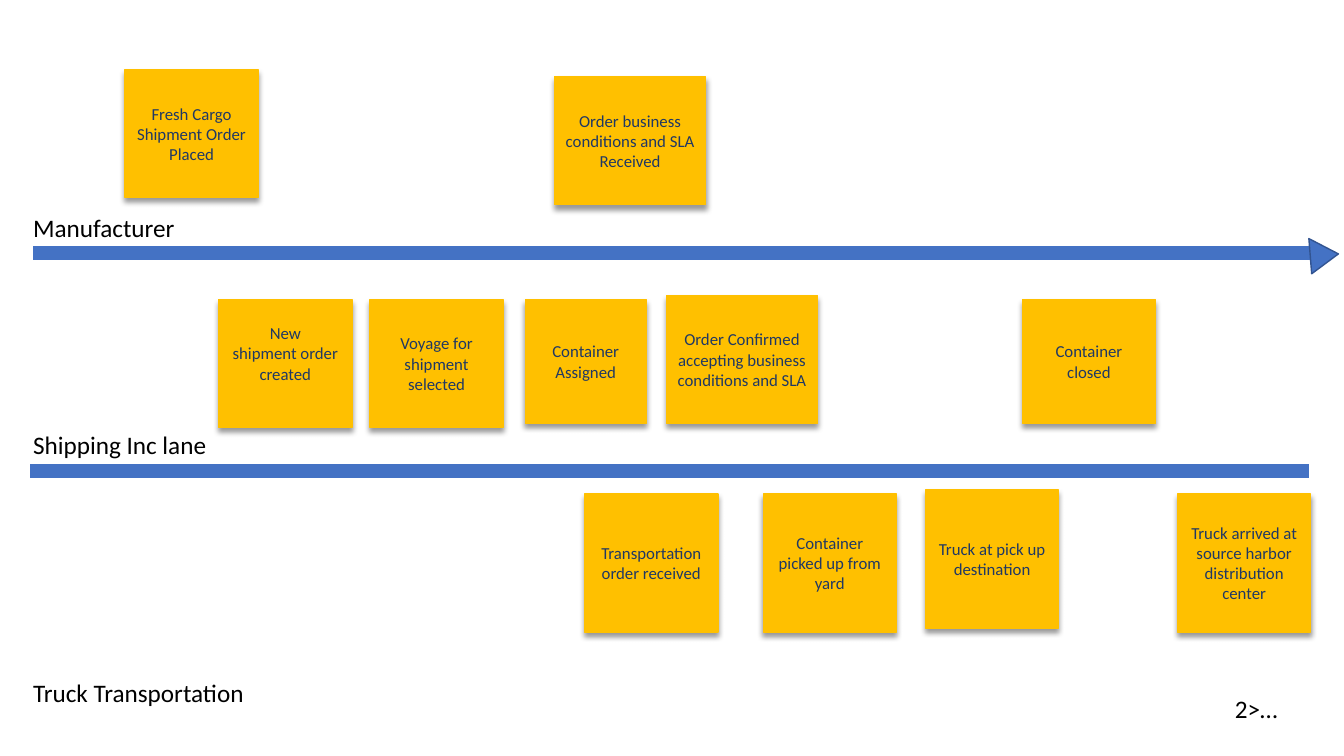
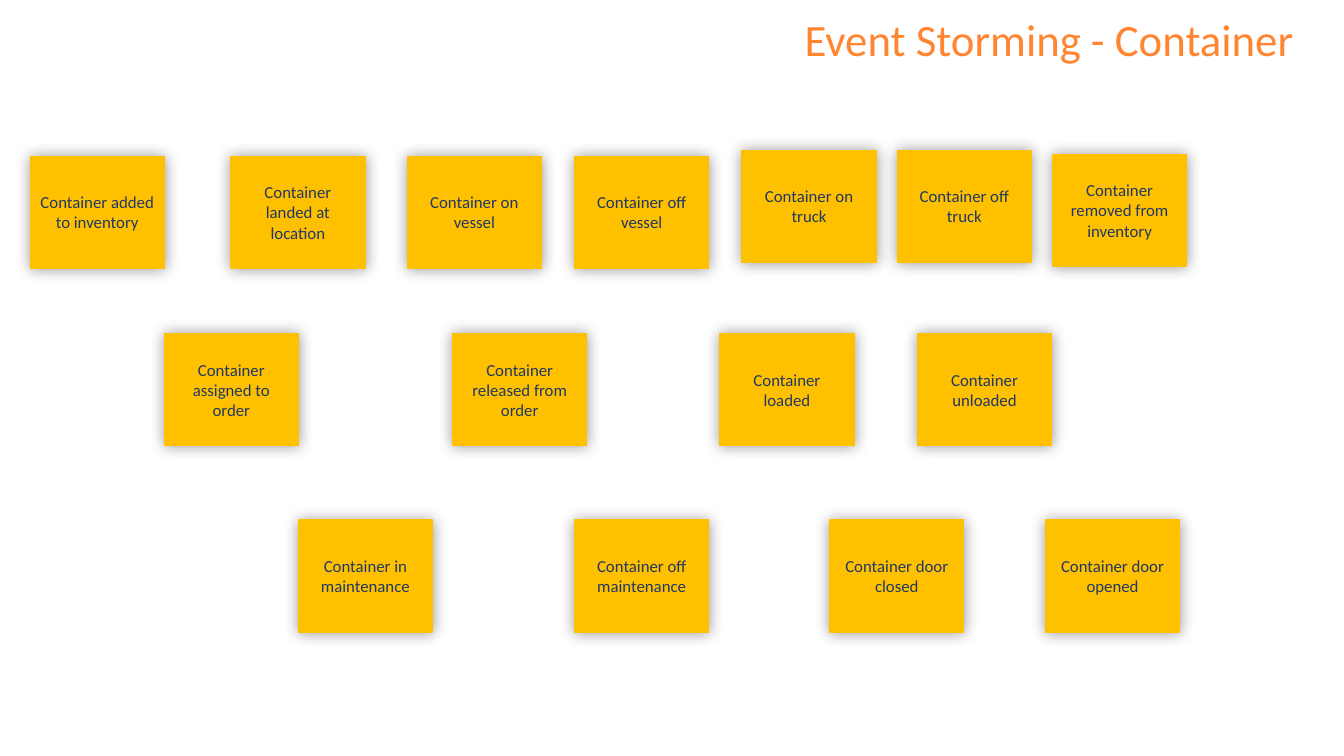
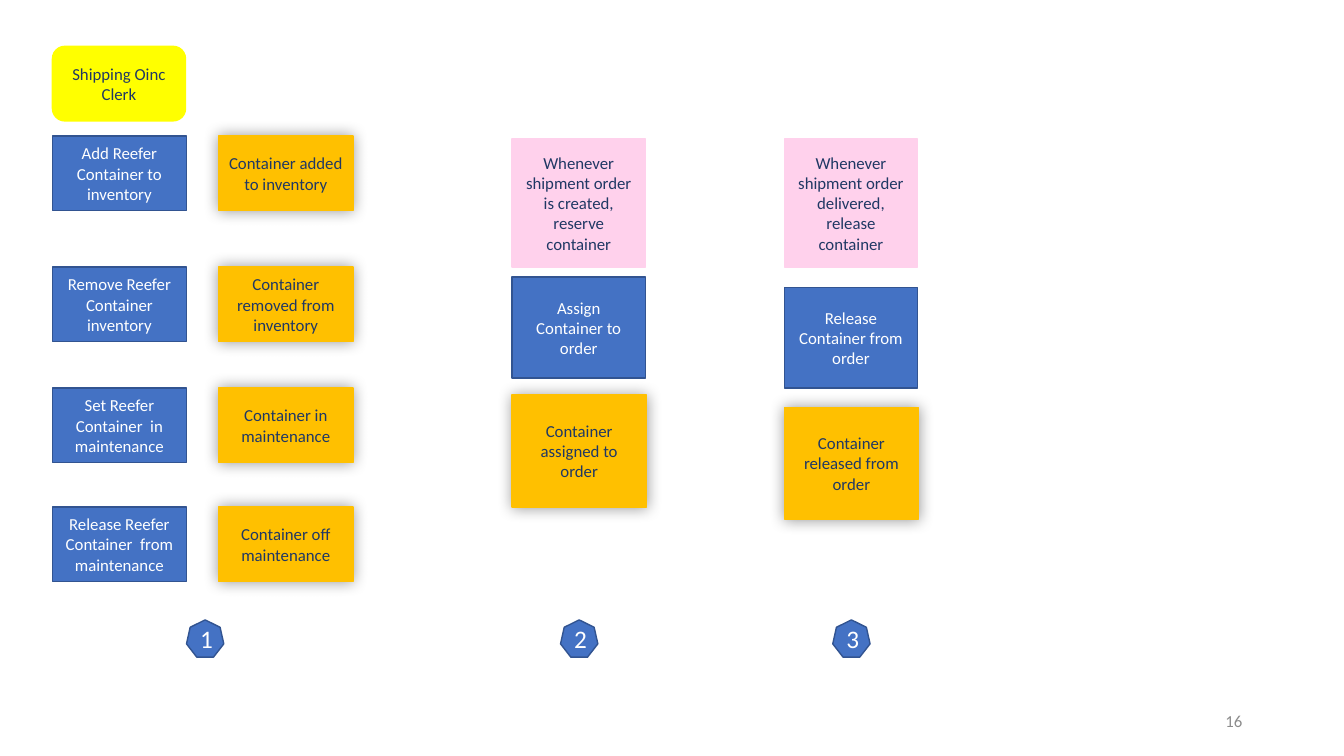
from lxml.etree import SubElement
from pptx import Presentation
from pptx.dml.color import RGBColor
from pptx.enum.shapes import MSO_CONNECTOR, MSO_SHAPE
from pptx.enum.text import MSO_ANCHOR, MSO_AUTO_SIZE, PP_ALIGN
from pptx.oxml.ns import qn
from pptx.util import Inches, Pt

HUES = {
    "amber": "FFC000", "blue": "4472C4", "edge": "325491", "navy": "203864",
    "yellow": "FFFF00", "pink": "FFD1EC", "orange": "FF8531",
    "black": "000000", "white": "FFFFFF", "grey": "8C8C8C",
}
# kind: fill, line, text
KINDS = {
    "event": ("amber", "amber", "navy"),
    "order": ("blue", "edge", "white"),
    "actor": ("yellow", "yellow", "navy"),
    "rule": ("pink", "pink", "navy"),
}
# shade: blur and distance in points, angle in degrees
DROP = (4, 3, 90)
GLOW = (11, 0, 10)
TITLE_ONLY, BLANK = 5, 6


def hue(name):
    return RGBColor.from_string(HUES[name])


class Deck:
    """Holds the shared style and the current slide."""

    font = "Calibri"

    def __init__(self):
        self.prs = Presentation()
        self.prs.slide_width = Inches(13.33)
        self.prs.slide_height = Inches(7.5)
        self.slide = None

    def page(self, layout=BLANK):
        self.slide = self.prs.slides.add_slide(self.prs.slide_layouts[layout])

    def words(self, frame, text, size, color, align):
        """Fill a text frame, one paragraph per line of text."""
        for i, line in enumerate(text.split("\n")):
            par = frame.add_paragraph() if i else frame.paragraphs[0]
            par.alignment = align
            run = par.add_run()
            run.text = line
            run.font.name = self.font
            run.font.size = Pt(size)
            run.font.color.rgb = hue(color)

    def shade(self, shape, blur, dist, angle):
        effects = shape.element.spPr.find(qn("a:effectLst"))
        outer = SubElement(effects, qn("a:outerShdw"), blurRad=str(Pt(blur)),
                           dist=str(Pt(dist)), dir=str(angle * 60000), rotWithShape="0")
        color = SubElement(outer, qn("a:srgbClr"), val=HUES["black"])
        SubElement(color, qn("a:alpha"), val="40000")

    def card(self, kind, x, y, w, h, text="", form=MSO_SHAPE.RECTANGLE,
             size=12, shade=None):
        fill, edge, ink = KINDS[kind]
        shape = self.slide.shapes.add_shape(form, Inches(x), Inches(y), Inches(w), Inches(h))
        shape.shadow.inherit = False
        shape.fill.solid()
        shape.fill.fore_color.rgb = hue(fill)
        shape.line.color.rgb = hue(edge)
        shape.line.width = Pt(1)
        if shade:
            self.shade(shape, *shade)
        if text:
            frame = shape.text_frame
            frame.word_wrap = True
            frame.vertical_anchor = MSO_ANCHOR.MIDDLE
            self.words(frame, text, size, ink, PP_ALIGN.CENTER)
        return shape

    def label(self, x, y, w, text, size=18, color="black", align=PP_ALIGN.LEFT, wrap=False):
        box = self.slide.shapes.add_textbox(Inches(x), Inches(y), Inches(w), Inches(0.4))
        box.text_frame.word_wrap = wrap
        box.text_frame.vertical_anchor = MSO_ANCHOR.MIDDLE
        self.words(box.text_frame, text, size, color, align)

    def title(self, x, y, w, h, text):
        box = self.slide.shapes.title
        box.left, box.top, box.width, box.height = map(Inches, (x, y, w, h))
        frame = box.text_frame
        frame.word_wrap = False
        frame.auto_size = MSO_AUTO_SIZE.NONE
        frame.vertical_anchor = MSO_ANCHOR.TOP
        self.words(frame, text, 32, "orange", PP_ALIGN.LEFT)

    def lane(self, x, y, w):
        line = self.slide.shapes.add_connector(
            MSO_CONNECTOR.STRAIGHT, Inches(x), Inches(y), Inches(x + w), Inches(y))
        line.line.color.rgb = hue("blue")
        line.line.width = Pt(10)
        SubElement(line.element.spPr, qn("a:effectLst"))


def lanes(deck):
    deck.page()
    deck.lane(0.33, 2.51, 12.68)
    deck.lane(0.3, 4.67, 12.68)
    for y, w, text in ((2.06, 1.62, "Manufacturer"),
                       (4.21, 1.94, "Shipping Inc lane"),
                       (6.67, 2.31, "Truck Transportation")):
        deck.label(0.23, y, w, text)
    deck.label(12.15, 6.83, 0.63, "2>…")
    for x, y, w, h, text in (
        (1.24, 0.69, 1.32, 1.27, "Fresh Cargo Shipment Order Placed"),
        (5.5, 0.76, 1.5, 1.27, "Order business conditions and SLA\nReceived"),
        (3.67, 2.97, 1.32, 1.27, "Voyage for shipment\nselected"),
        (5.21, 2.97, 1.2, 1.23, "Container Assigned"),
        (6.61, 2.93, 1.5, 1.27, "Order Confirmed accepting business conditions and SLA"),
        (10.14, 2.97, 1.32, 1.23, "Container closed"),
        (5.8, 4.9, 1.32, 1.37, "Transportation order received"),
        (7.57, 4.9, 1.32, 1.37, "Container picked up from yard"),
        (9.18, 4.86, 1.32, 1.37, "Truck at pick up destination"),
        (11.68, 4.9, 1.32, 1.37, "Truck arrived at source harbor distribution center"),
    ):
        deck.card("event", x, y, w, h, text, shade=DROP)
    fresh = deck.card("event", 2.17, 2.97, 1.32, 1.27,
                      "New\nshipment order created", shade=DROP)
    fresh.text_frame.margin_bottom = Inches(0.25)
    tip = deck.card("order", 12.96, 2.39, 0.35, 0.28, form=MSO_SHAPE.ISOSCELES_TRIANGLE)
    tip.rotation = 85.4


def storm(deck):
    deck.page(TITLE_ONLY)
    deck.title(7.88, 0.07, 5.1, 0.64, "Event Storming - Container")
    rows = (
        (1.55, ((0.3, "added to inventory"), (2.29, "landed at location"),
                (4.04, "on vessel"), (5.7, "off vessel"))),
        (1.49, ((7.36, "on truck"), (8.9, "off truck"))),
        (1.53, ((10.44, "removed from inventory"),)),
        (3.31, ((1.63, "assigned to order"), (4.49, "released from order"),
                (7.14, "loaded"), (9.1, "unloaded"))),
        (5.16, ((2.96, "in maintenance"), (5.7, "off maintenance"),
                (8.23, "door closed"), (10.37, "door opened"))),
    )
    for y, row in rows:
        for x, state in row:
            deck.card("event", x, y, 1.33, 1.11, f"Container {state}", shade=GLOW)


def orders(deck):
    deck.page()
    deck.label(9.42, 6.95, 3, "16", 12, "grey", PP_ALIGN.RIGHT, True)
    deck.card("actor", 0.52, 0.46, 1.32, 0.74, "Shipping Oinc Clerk",
              MSO_SHAPE.ROUNDED_RECTANGLE)
    for y, order, event in (
        (1.35, "Add Reefer Container to inventory", "Container added to inventory"),
        (2.65, "Remove Reefer Container inventory", "Container removed from inventory"),
        (3.85, "Set Reefer Container  in maintenance", "Container in maintenance"),
        (5.03, "Release Reefer Container  from maintenance", "Container off maintenance"),
    ):
        deck.card("order", 0.52, y, 1.33, 0.74, order)
        deck.card("event", 2.17, y, 1.33, 0.74, event, shade=GLOW)
    for x, mid, end, rule, order, event in (
        (5.08, 2.75, 3.92, "is created, reserve", "Assign Container to", "assigned to"),
        (7.78, 2.85, 4.04, "delivered, release", "Release Container from", "released from"),
    ):
        deck.card("rule", x, 1.38, 1.32, 1.27, f"Whenever shipment order {rule} container")
        deck.card("order", x, mid, 1.32, 1, f"{order} order")
        deck.card("event", x, end, 1.33, 1.11, f"Container {event} order", shade=GLOW)
    for i, x in enumerate((1.85, 5.56, 8.26), 1):
        deck.card("order", x, 6.15, 0.37, 0.37, str(i), MSO_SHAPE.HEPTAGON, 18)


def main():
    deck = Deck()
    for build in (lanes, storm, orders):
        build(deck)
    deck.prs.save("out.pptx")


if __name__ == "__main__":
    main()
